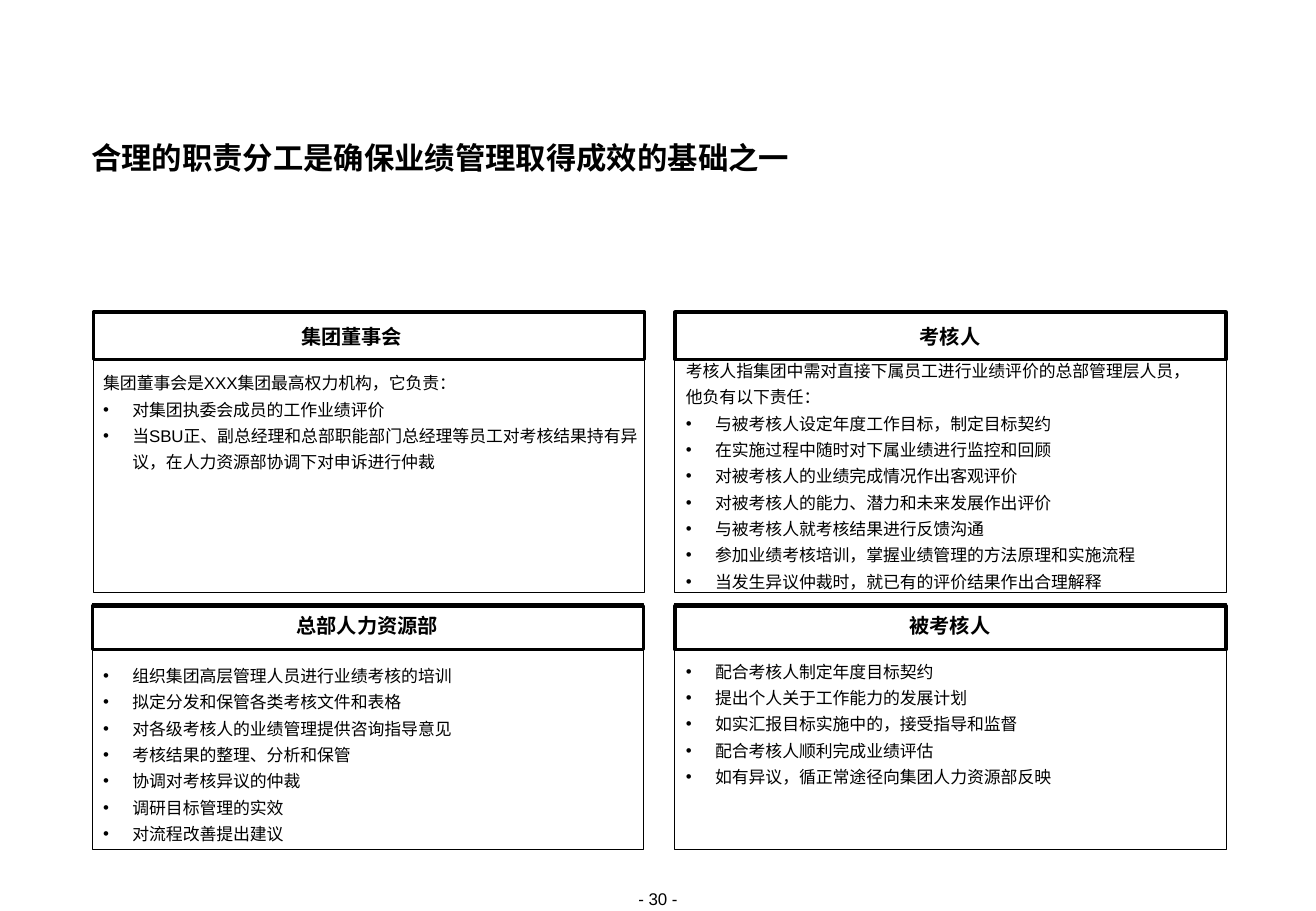
from lxml import etree
from pptx import Presentation
from pptx import util as u
from pptx.dml.color import RGBColor
from pptx.enum import shapes, text
from pptx.oxml.ns import qn

PX = 9144  # EMU per px, 100 px to the inch


def px(value):
    return u.Emu(value * PX)


def colour(hex_string):
    return RGBColor.from_string(hex_string)


class SlideBuilder:
    FONT = "Arial"
    INK = "000000"
    BODY_INDENT = 24
    HEADING_INDENT = 12

    def __init__(self, slide):
        self.slide = slide

    def frame(self, left, top, width, height, line_width):
        shape = self.slide.shapes.add_shape(
            shapes.MSO_SHAPE.RECTANGLE, px(left), px(top), px(width), px(height))
        shape.shadow.inherit = False
        shape.fill.background()
        shape.line.color.rgb = colour(self.INK)
        shape.line.width = u.Pt(line_width)

    def label(self, box, lines, size, bold=False, align=text.PP_ALIGN.LEFT,
              anchor=text.MSO_ANCHOR.MIDDLE, wrap=True, spacing=None,
              indent=0, plain_lines=None):
        """Lines after the first plain_lines are bulleted."""
        shape = self.slide.shapes.add_textbox(*map(px, box))
        frame = shape.text_frame
        frame.margin_left = frame.margin_right = 0
        frame.margin_top = frame.margin_bottom = 0
        frame.word_wrap = wrap
        frame.auto_size = text.MSO_AUTO_SIZE.SHAPE_TO_FIT_TEXT
        frame.vertical_anchor = anchor
        frame.text = "\n".join(lines)
        for index, paragraph in enumerate(frame.paragraphs):
            paragraph.alignment = align
            if spacing is not None:
                paragraph.line_spacing = spacing
            if indent:
                properties = paragraph._p.get_or_add_pPr()
                properties.set("marL", str(px(indent)))
                properties.set("indent", str(-px(indent)))
            if plain_lines is not None and index >= plain_lines:
                self.bullet(paragraph)
            for run in paragraph.runs:
                run.font.name = self.FONT
                run.font.size = u.Pt(size)
                run.font.bold = bold
                run.font.color.rgb = colour(self.INK)

    def bullet(self, paragraph):
        properties = paragraph._p.get_or_add_pPr()
        bullet_colour = etree.SubElement(properties, qn("a:buClr"))
        etree.SubElement(bullet_colour, qn("a:srgbClr")).set("val", self.INK)
        etree.SubElement(properties, qn("a:buFont")).set("typeface", self.FONT)
        etree.SubElement(properties, qn("a:buChar")).set("char", "•")

    def heading(self, box, title, align):
        self.label(box, [title], 12, bold=True, align=align, wrap=False,
                   spacing=u.Pt(14), indent=self.HEADING_INDENT)

    def body(self, box, lines, plain_lines):
        self.label(box, lines, 10, spacing=1.3, indent=self.BODY_INDENT,
                   plain_lines=plain_lines)


LEFT, CENTER = text.PP_ALIGN.LEFT, text.PP_ALIGN.CENTER
PANEL_WIDTH, BODY_WIDTH, HEADING_HEIGHT = 454, 442, 19

# Rows: panel top and height, header top and height, heading top
TOP_ROW = (257, 231, 257, 39, 268)
BOTTOM_ROW = (497, 202, 499, 36, 506)

# Panels: row, left, heading (left, width, align, title),
# body (left, top, height), number of lines without bullet, lines
PANELS = [
    (TOP_ROW, 77, (248, 108, LEFT, "集团董事会"), (85, 302, 87), 1, [
        "集团董事会是XXX集团最高权力机构，它负责：",
        "对集团执委会成员的工作业绩评价",
        "当SBU正、副总经理和总部职能部门总经理等员工对考核结果持有异议，在人力资源部协调下对申诉进行仲裁",
    ]),
    (TOP_ROW, 556, (745, 75, CENTER, "考核人"), (565, 292, 195), 2, [
        "考核人指集团中需对直接下属员工进行业绩评价的总部管理层人员，",
        "他负有以下责任：",
        "与被考核人设定年度工作目标，制定目标契约",
        "在实施过程中随时对下属业绩进行监控和回顾",
        "对被考核人的业绩完成情况作出客观评价",
        "对被考核人的能力、潜力和未来发展作出评价",
        "与被考核人就考核结果进行反馈沟通",
        "参加业绩考核培训，掌握业绩管理的方法原理和实施流程",
        "当发生异议仲裁时，就已有的评价结果作出合理解释",
    ]),
    (BOTTOM_ROW, 76, (232, 141, CENTER, "总部人力资源部"), (85, 543, 152), 0, [
        "组织集团高层管理人员进行业绩考核的培训",
        "拟定分发和保管各类考核文件和表格",
        "对各级考核人的业绩管理提供咨询指导意见",
        "考核结果的整理、分析和保管",
        "协调对考核异议的仲裁",
        "调研目标管理的实效",
        "对流程改善提出建议",
    ]),
    (BOTTOM_ROW, 556, (737, 91, CENTER, "被考核人"), (565, 539, 109), 0, [
        "配合考核人制定年度目标契约",
        "提出个人关于工作能力的发展计划",
        "如实汇报目标实施中的，接受指导和监督",
        "配合考核人顺利完成业绩评估",
        "如有异议，循正常途径向集团人力资源部反映",
    ]),
]


def main():
    presentation = Presentation()
    presentation.slide_width, presentation.slide_height = px(1084), px(750)
    slide = presentation.slides.add_slide(presentation.slide_layouts[6])
    builder = SlideBuilder(slide)

    # Page number and title
    builder.label((485, 732, 114, 17), ["- 30 -"], 10, align=CENTER,
                  anchor=text.MSO_ANCHOR.TOP)
    builder.label((75, 117, 933, 28), ["合理的职责分工是确保业绩管理取得成效的基础之一"],
                  18, bold=True, anchor=text.MSO_ANCHOR.TOP, spacing=u.Pt(20))

    # Four responsibility panels
    for row, left, heading, body, plain_lines, lines in PANELS:
        panel_top, panel_height, header_top, header_height, heading_top = row
        heading_left, heading_width, align, title = heading
        body_left, body_top, body_height = body
        builder.frame(left, panel_top, PANEL_WIDTH, panel_height, 0.5)
        builder.frame(left, header_top, PANEL_WIDTH, header_height, 2)
        builder.heading((heading_left, heading_top, heading_width, HEADING_HEIGHT),
                        title, align)
        builder.body((body_left, body_top, BODY_WIDTH, body_height), lines, plain_lines)

    presentation.save("out.pptx")


if __name__ == "__main__":
    main()
